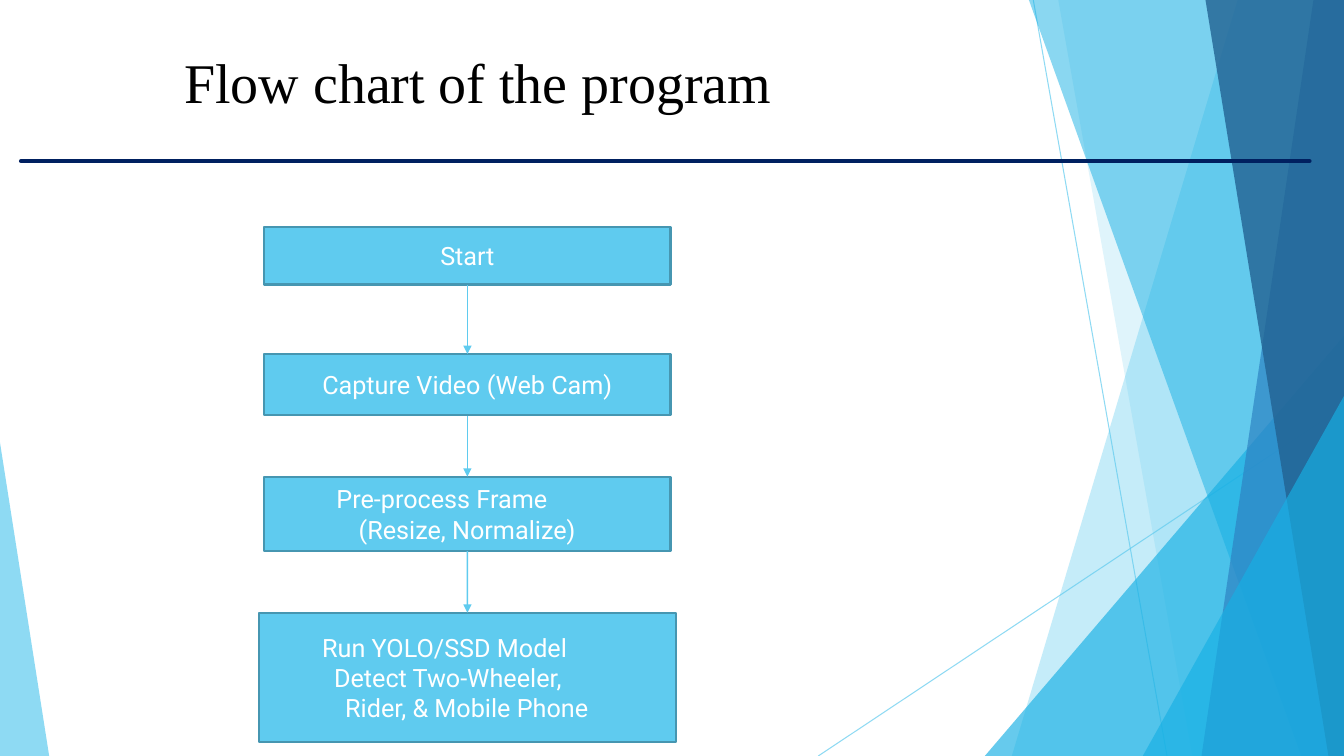
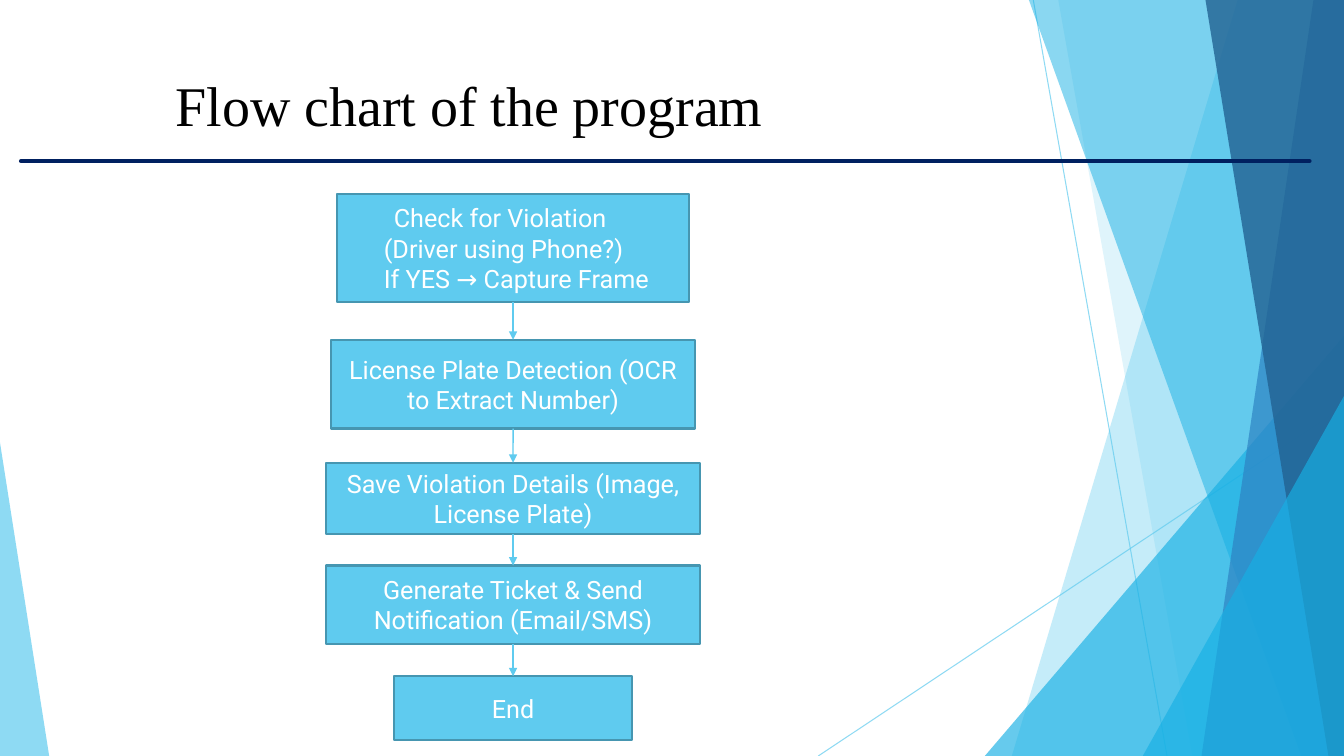
import lxml.etree
import pptx
import pptx.dml.color
import pptx.enum.shapes
import pptx.enum.text
import pptx.oxml.ns
import pptx.util

Cm = pptx.util.Cm
Pt = pptx.util.Pt
RGBColor = pptx.dml.color.RGBColor
Align = pptx.enum.text.PP_ALIGN
Anchor = pptx.enum.text.MSO_ANCHOR
Preset = pptx.enum.shapes.MSO_SHAPE
qn = pptx.oxml.ns.qn

SKY = RGBColor(0x5F, 0xCB, 0xEF)
CYAN = RGBColor(0x17, 0xB0, 0xE4)
BLUE = RGBColor(0x2E, 0x83, 0xC3)
DEEP_BLUE = RGBColor(0x22, 0x62, 0x92)
BORDER = RGBColor(0x46, 0x96, 0xB1)
NAVY = RGBColor(0x00, 0x20, 0x60)
BLACK = RGBColor(0x00, 0x00, 0x00)
WHITE = RGBColor(0xFF, 0xFF, 0xFF)

WIDTH, HEIGHT = 33.87, 19.05
TITLE = "Flow chart of the program"


class FlowDeck:
    """Hold the presentation, its style and the current slide."""

    def __init__(self):
        self.presentation = pptx.Presentation()
        self.presentation.slide_width = Cm(WIDTH)
        self.presentation.slide_height = Cm(HEIGHT)
        self.layout = self.presentation.slide_layouts[5]
        self.slide = None

    def add_slide(self, left, top, width):
        """Start a slide with its title at the given place."""
        self.slide = self.presentation.slides.add_slide(self.layout)
        title = self.slide.shapes.title
        title.left, title.top = Cm(left), Cm(top)
        title.width, title.height = Cm(width), Cm(1.96)
        frame = title.text_frame
        frame.text = TITLE
        frame.auto_size = pptx.enum.text.MSO_AUTO_SIZE.NONE
        frame.vertical_anchor = Anchor.TOP
        self.format_paragraph(frame.paragraphs[0], "Times New Roman", 40, BLACK, Align.LEFT)

    def format_paragraph(self, paragraph, font, size, color, alignment):
        """Set the alignment and the font of every run."""
        paragraph.alignment = alignment
        for run in paragraph.runs:
            run.font.name = font
            run.font.size = Pt(size)
            run.font.color.rgb = color

    def set_opacity(self, shape, percent):
        """Make the coloured fill or line of a shape see-through."""
        for color in shape.element.iter(qn("a:srgbClr")):
            lxml.etree.SubElement(color, qn("a:alpha"), val=str(percent * 1000))

    def line(self, start, end, color, weight):
        """Draw a straight line without shadow."""
        connector = self.slide.shapes.add_connector(
            pptx.enum.shapes.MSO_CONNECTOR.STRAIGHT, *map(Cm, start + end))
        connector.line.color.rgb = color
        connector.line.width = Pt(weight)
        lxml.etree.SubElement(connector.element.spPr, qn("a:effectLst"))
        return connector

    def facet(self, shape, color, opacity):
        """Give a decorative shape its flat transparent fill."""
        shape.shadow.inherit = False
        shape.fill.solid()
        shape.fill.fore_color.rgb = color
        shape.line.fill.background()
        self.set_opacity(shape, opacity)
        return shape

    def band(self, top_x, bottom_x, color, opacity):
        """Draw a slanted band that reaches the right edge."""
        builder = self.slide.shapes.build_freeform(Cm(top_x), Cm(0))
        corners = [(WIDTH, 0), (WIDTH, HEIGHT), (bottom_x, HEIGHT)]
        builder.add_line_segments([(Cm(x), Cm(y)) for x, y in corners])
        return self.facet(builder.convert_to_shape(), color, opacity)

    def corner(self, left, top, width, apex, color, opacity):
        """Draw a right triangle standing on the bottom edge."""
        shape = self.slide.shapes.add_shape(
            Preset.ISOSCELES_TRIANGLE, Cm(left), Cm(top), Cm(width), Cm(HEIGHT - top))
        shape.adjustments[0] = apex
        return self.facet(shape, color, opacity)

    def decorate_layout(self):
        """Draw the facets and the title rule, and hand them to the layout."""
        rays = [self.line((26.04, 0), (29.41, HEIGHT), SKY, 0.75),
                self.line((WIDTH, 10.24), (20.62, HEIGHT), SKY, 0.75)]
        for ray in rays:
            self.set_opacity(ray, 70)
        decoration = rays + [
            self.band(31.19, 25.5, SKY, 36),
            self.band(26.67, 30.05, SKY, 20),
            self.corner(24.82, 8.46, 9.05, 1, CYAN, 66),
            self.band(25.93, 32.79, CYAN, 50),
            self.band(33.1, 30.28, BLUE, 70),
            self.band(30.38, 33.48, DEEP_BLUE, 80),
            self.corner(28.8, 9.98, 5.07, 1, CYAN, 66),
            self.corner(0, 11.15, 1.24, 0, SKY, 70),
        ]
        rule = self.line((0.53, 4.06), (33, 4.06), NAVY, 3)
        rule.line._get_or_add_ln().set("cap", "rnd")
        for number, shape in enumerate(decoration + [rule], start=101):
            next(shape.element.iter(qn("p:cNvPr"))).set("id", str(number))
            self.layout.shapes.element.append(shape.element)

    def step(self, center, top, width, height, text, indents=()):
        """Draw one step, its lines centred or indented one by one."""
        shape = self.slide.shapes.add_shape(
            Preset.RECTANGLE, Cm(center - width / 2), Cm(top), Cm(width), Cm(height))
        shape.shadow.inherit = False
        shape.fill.solid()
        shape.fill.fore_color.rgb = SKY
        shape.line.color.rgb = BORDER
        shape.line.width = Pt(1.5)
        frame = shape.text_frame
        frame.text = text
        frame.word_wrap = True
        frame.vertical_anchor = Anchor.MIDDLE
        alignment = Align.LEFT if indents else Align.CENTER
        for paragraph in frame.paragraphs:
            self.format_paragraph(paragraph, "Roboto", 18, WHITE, alignment)
        for paragraph, indent in zip(frame.paragraphs, indents):
            paragraph._p.get_or_add_pPr().set("marL", str(Cm(indent)))
        return shape

    def arrow(self, upper, lower):
        """Join the bottom of one step to the top of the next."""
        connector = self.line((0, 0), (0, 0), SKY, 1)
        connector.begin_connect(upper, 2)
        connector.end_connect(lower, 0)
        lxml.etree.SubElement(connector.line._get_or_add_ln(), qn("a:tailEnd"), type="triangle")

    def flow(self, center, steps):
        """Draw a column of steps joined by arrows."""
        shapes = [self.step(center, *step) for step in steps]
        for upper, lower in zip(shapes, shapes[1:]):
            self.arrow(upper, lower)


def main():
    """Build both slides and save them."""
    deck = FlowDeck()
    deck.add_slide(4.39, 1.07, 16.81)
    deck.decorate_layout()
    deck.flow(11.78, [
        (5.72, 10.24, 1.45, "Start"),
        (8.92, 10.24, 1.55, "Capture Video (Web Cam)"),
        (12.01, 10.24, 1.88, "Pre-process Frame\n(Resize, Normalize)", (1.57, 2.13)),
        (15.44, 10.52, 3.25,
         "Run YOLO/SSD Model\nDetect Two-Wheeler,\nRider, & Mobile Phone",
         (1.35, 1.65, 1.93)),
    ])
    deck.add_slide(4.17, 1.65, 15.47)
    deck.flow(12.93, [
        (4.88, 8.89, 2.74,
         "Check for Violation\n(Driver using Phone?)\nIf YES → Capture Frame",
         (1.19, 0.94, 0.94)),
        (8.56, 9.19, 2.24, "License Plate Detection (OCR to Extract Number)"),
        (11.66, 9.42, 1.8, "Save Violation Details (Image, License Plate)"),
        (14.25, 9.42, 1.98, "Generate Ticket & Send Notification (Email/SMS)"),
        (17.04, 5.99, 1.6, "End"),
    ])
    deck.presentation.save("out.pptx")


if __name__ == "__main__":
    main()
